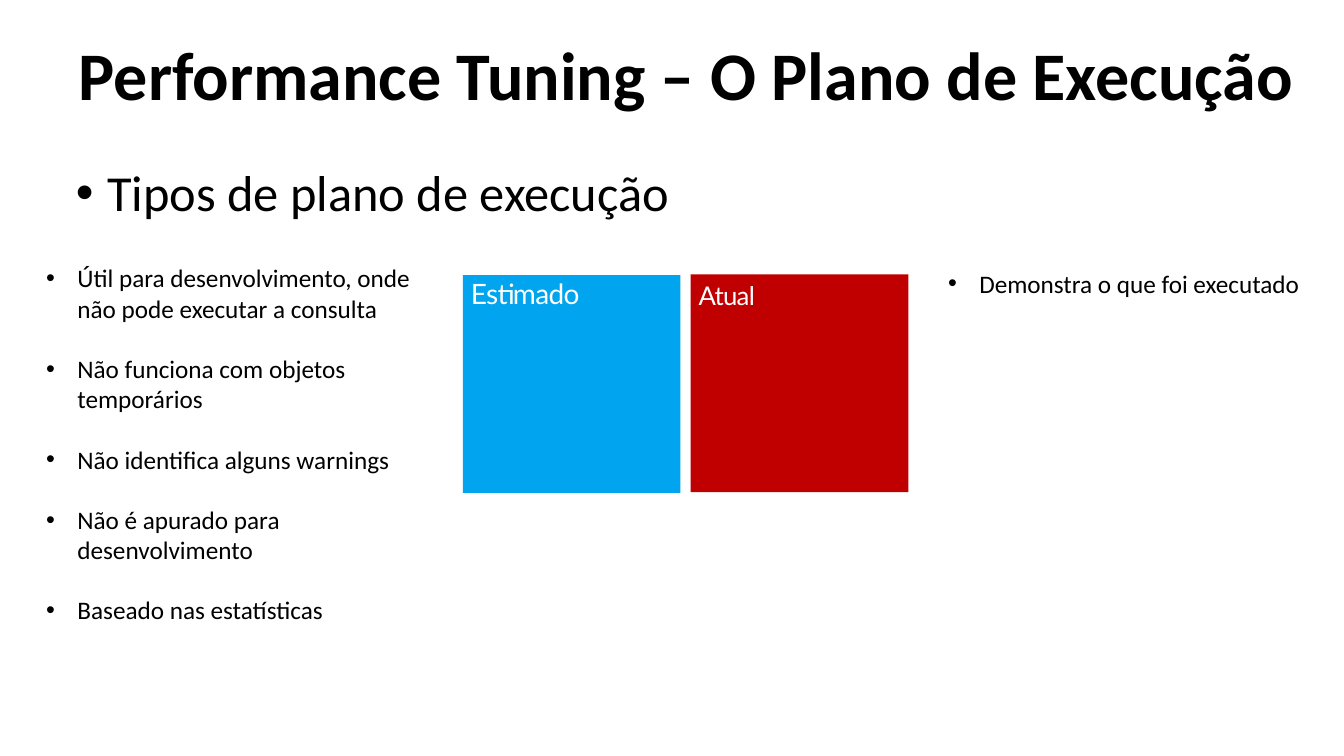
from lxml import etree
from pptx import Presentation
from pptx import util as u
from pptx.dml.color import RGBColor
from pptx.enum import shapes, text
from pptx.oxml.ns import qn

WIDTH, HEIGHT = 13.33, 7.5
COLORS = {"ink": "000000", "paper": "FFFFFF", "estimated": "00A4EF", "actual": "C00000"}
INDENT = 0.31
TILE_SIDE = 2.16
TILE_PITCH = 2.26
ESTIMATED_TRAITS = [
    "Útil para desenvolvimento, onde não pode executar a consulta",
    "Não funciona com objetos temporários",
    "Não identifica alguns warnings",
    "Não é apurado para desenvolvimento",
    "Baseado nas estatísticas",
]
ACTUAL_TRAITS = ["Demonstra o que foi executado"]


def color(name):
    return RGBColor.from_string(COLORS[name])


def area(left, top, width, height):
    return [u.Inches(length) for length in
            (left * WIDTH, top * HEIGHT, width * WIDTH, height * HEIGHT)]


def add_bullet(paragraph):
    properties = paragraph._p.get_or_add_pPr()
    properties.set("marL", str(u.Inches(INDENT)))
    properties.set("indent", str(-u.Inches(INDENT)))
    etree.SubElement(properties, qn("a:buFont")).set("typeface", "Arial")
    etree.SubElement(properties, qn("a:buChar")).set("char", "•")


def write(frame, lines, size, font="Calibri", ink="ink", bold=False, bullet=False,
          align=text.PP_ALIGN.LEFT, anchor=text.MSO_ANCHOR.TOP,
          after=0, leading=1.0, tracking=0):
    frame.word_wrap = True
    frame.vertical_anchor = anchor
    for index, line in enumerate(lines):
        paragraph = frame.add_paragraph() if index else frame.paragraphs[0]
        paragraph.alignment = align
        paragraph.line_spacing = leading
        paragraph.space_after = u.Pt(after)
        if bullet:
            add_bullet(paragraph)
        run = paragraph.add_run()
        run.text = line
        run.font.name = font
        run.font.size = u.Pt(size)
        run.font.bold = bold
        run.font.color.rgb = color(ink)
        if tracking:
            run._r.get_or_add_rPr().set("spc", str(round(tracking * 100)))


def add_text(slide, place, lines, size, **style):
    box = slide.shapes.add_textbox(*area(*place))
    write(box.text_frame, lines, size, **style)


def add_tile(slide, column, top, label, fill, size, **style):
    place = (4.59 + column * TILE_PITCH) / WIDTH, top, TILE_SIDE / WIDTH, TILE_SIDE / HEIGHT
    tile = slide.shapes.add_shape(shapes.MSO_SHAPE.RECTANGLE, *area(*place))
    tile.shadow.inherit = False
    tile.fill.solid()
    tile.fill.fore_color.rgb = color(fill)
    tile.line.fill.background()
    frame = tile.text_frame
    frame.margin_left = frame.margin_right = u.Inches(0.08)
    frame.margin_top = frame.margin_bottom = u.Inches(0.05)
    write(frame, [label], size, font="Lato", ink="paper", tracking=-0.5, **style)


def main():
    deck = Presentation()
    deck.slide_width, deck.slide_height = u.Inches(WIDTH), u.Inches(HEIGHT)
    slide = deck.slides.add_slide(deck.slide_layouts[6])

    add_text(slide, (0.038, 0.03, 0.945, 0.133), ["Performance Tuning – O Plano de Execução"],
             48.6, bold=True, align=text.PP_ALIGN.CENTER, anchor=text.MSO_ANCHOR.MIDDLE)
    add_text(slide, (0.049, 0.207, 0.911, 0.095), ["Tipos de plano de execução"], 36, bullet=True)
    add_tile(slide, 0, 0.364, "Estimado", "estimated", 20, leading=0.9, after=6)
    add_tile(slide, 1, 0.363, "Atual", "actual", 18.4)
    add_text(slide, (0.027, 0.341, 0.308, 0.499), ESTIMATED_TRAITS, 18, bullet=True, after=21.5)
    add_text(slide, (0.698, 0.348, 0.287, 0.053), ACTUAL_TRAITS, 18, bullet=True)

    deck.save("out.pptx")


if __name__ == "__main__":
    main()
